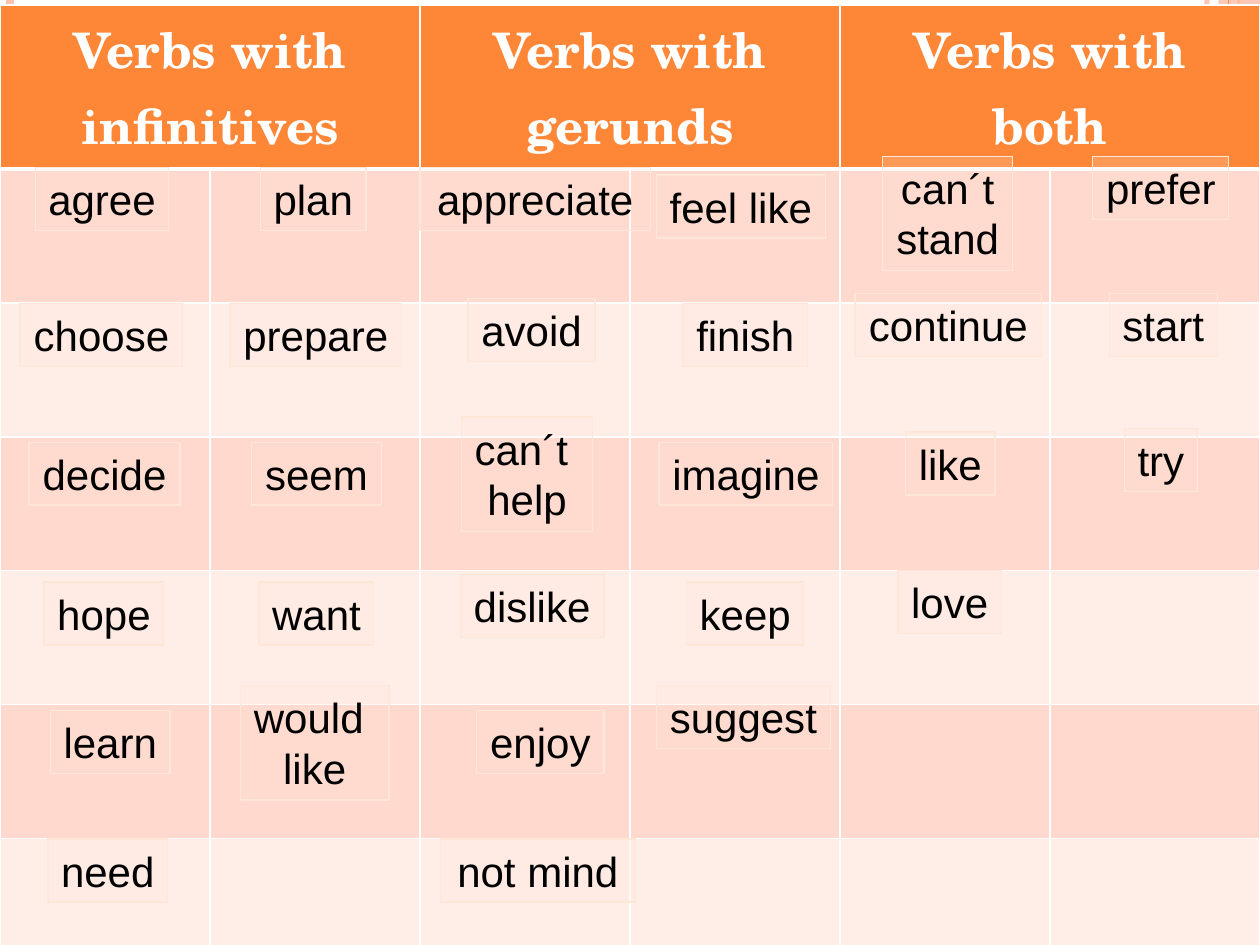
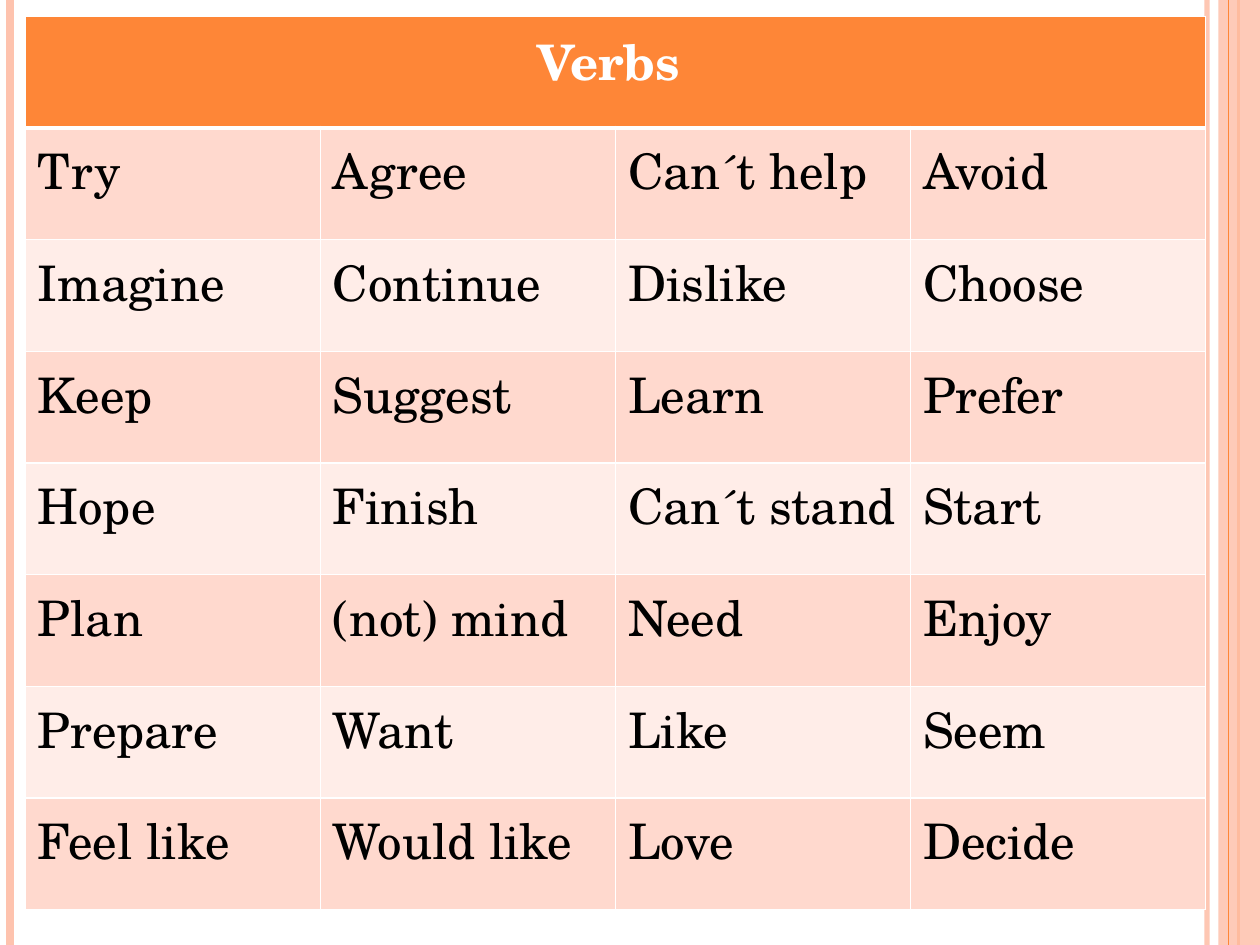
from collections import namedtuple
from lxml.etree import SubElement
from pptx import Presentation
from pptx.dml.color import RGBColor
from pptx.enum.shapes import MSO_CONNECTOR, MSO_SHAPE
from pptx.enum.text import MSO_ANCHOR, MSO_AUTO_SIZE, PP_ALIGN
from pptx.oxml.ns import qn
from pptx.util import Inches, Pt

Box = namedtuple("Box", "left top width height")

WHITE = RGBColor(0xFF, 0xFF, 0xFF)
BLACK = RGBColor(0x00, 0x00, 0x00)
ORANGE = RGBColor(0xFE, 0x86, 0x37)
SALMON = RGBColor(0xFE, 0xC3, 0xAE)
CREAM = RGBColor(0xFF, 0xE7, 0xD7)
BAND_FILLS = (RGBColor(0xFF, 0xD9, 0xCE), RGBColor(0xFF, 0xED, 0xE8))

TABLE_FONT = {"name": "TeX Gyre Schola", "size": Pt(28)}
HEADER_FORMAT = {**TABLE_FONT, "bold": True, "color": WHITE}
BODY_FORMAT = {**TABLE_FONT, "bold": False, "color": BLACK}
CARD_FORMAT = {"name": "Arial", "size": Pt(24), "color": BLACK}

SLIDE_BOX = Box(0, 0, 10, 7.5)
SORTED_TABLE_BOX = Box(0, 0.04, 10, 7.46)
VERB_TABLE_BOX = Box(0.2, 0.13, 9.37, 7.09)
HEADER_HEIGHT = 1.08

RULES = (
    (9.58, SALMON, 3, 93),
    (0.08, SALMON, 4.5, 100),
    (9.83, ORANGE, 1.5, 100),
)
INNER_RULE = (9.75, ORANGE, 0.75, 100)

SORTED_HEADINGS = ("Verbs with infinitives", "Verbs with gerunds", "Verbs with both")
SORTED_CARDS = (
    (("agree", 0.28, 1.33, 1.06), ("choose", 0.16, 2.41, 1.29),
     ("decide", 0.23, 3.51, 1.2), ("hope", 0.35, 4.62, 0.95),
     ("learn", 0.4, 5.64, 0.95), ("need", 0.38, 6.66, 0.95)),
    (("plan", 0.4, 1.33, 0.84), ("prepare", 0.16, 2.41, 1.36),
     ("seem", 0.33, 3.51, 1.03), ("want", 0.39, 4.62, 0.91),
     ("would \nlike", 0.24, 5.44, 1.18)),
    (("appreciate", 0, 1.33, 1.83), ("avoid", 0.38, 2.37, 1.01),
     ("can´t \nhelp", 0.33, 3.31, 1.04), ("dislike", 0.32, 4.56, 1.14),
     ("enjoy", 0.45, 5.64, 1.01), ("not mind", 0.16, 6.66, 1.55)),
    (("feel like", 0.21, 1.39, 1.34), ("finish", 0.42, 2.41, 0.99),
     ("imagine", 0.23, 3.51, 1.38), ("keep", 0.45, 4.62, 0.93),
     ("suggest", 0.21, 5.44, 1.38)),
    (("can´t\nstand", 0.34, 1.24, 1.03), ("continue", 0.12, 2.33, 1.48),
     ("like", 0.52, 3.43, 0.71), ("love", 0.46, 4.53, 0.82)),
    (("prefer", 0.34, 1.24, 1.08), ("start", 0.47, 2.33, 0.86),
     ("try", 0.59, 3.4, 0.58)),
)
VERB_ROWS = (
    ("Try", "Agree", "Can´t help", "Avoid"),
    ("Imagine", "Continue", "Dislike", "Choose"),
    ("Keep", "Suggest", "Learn", "Prefer"),
    ("Hope", "Finish", "Can´t stand", "Start"),
    ("Plan", "(not) mind", "Need", "Enjoy"),
    ("Prepare", "Want", "Like", "Seem"),
    ("Feel like", "Would like", "Love", "Decide"),
)


def format_font(font, values):
    for name, value in values.items():
        if name == "color":
            font.color.rgb = value
        else:
            setattr(font, name, value)


def write_text(text_frame, text, values, alignment):
    text_frame.text = text
    for paragraph in text_frame.paragraphs:
        paragraph.alignment = alignment
        format_font(paragraph.font, values)
        for run in paragraph.runs:
            format_font(run.font, values)


def set_opacity(element, percent):
    color = element.find(".//" + qn("a:srgbClr"))
    SubElement(color, qn("a:alpha"), val=str(percent * 1000))


def add_rectangle(slide, box, color, opacity):
    shape = slide.shapes.add_shape(MSO_SHAPE.RECTANGLE, *map(Inches, box))
    shape.shadow.inherit = False
    shape.fill.solid()
    shape.fill.fore_color.rgb = color
    set_opacity(shape._element.spPr, opacity)
    shape.line.fill.background()
    return shape


def add_rule(slide, box, offset, color, width, opacity):
    x = Inches(box.left + offset)
    rule = slide.shapes.add_connector(
        MSO_CONNECTOR.STRAIGHT, x, Inches(box.top), x, Inches(box.top + box.height))
    rule.line.color.rgb = color
    rule.line.width = Pt(width)
    if opacity < 100:
        set_opacity(rule._element.spPr, opacity)
    SubElement(rule._element.spPr, qn("a:effectLst"))


def add_side_bands(slide, box):
    for rule in RULES:
        add_rule(slide, box, *rule)
    band_box = Box(box.left + 9.67, box.top, 0.33, box.height)
    add_rectangle(slide, band_box, SALMON, 87)
    add_rule(slide, box, *INNER_RULE)


def set_borders(cell, widths):
    properties = cell._tc.get_or_add_tcPr()
    for position, (side, width) in enumerate(widths.items()):
        border = SubElement(properties, qn("a:ln" + side), w=str(Pt(width)))
        fill = SubElement(border, qn("a:solidFill"))
        SubElement(fill, qn("a:srgbClr"), val=str(WHITE))
        properties.insert(position, border)


def add_banded_table(slide, box, headings, rows, header_height):
    column_count = len(rows[0])
    table = slide.shapes.add_table(
        len(rows) + 1, column_count, *map(Inches, box)).table
    table.first_row = table.horz_banding = False
    for column in table.columns:
        column.width = Inches(box.width / column_count)
    body_height = (box.height - header_height) / len(rows)
    for index, row in enumerate(table.rows):
        row.height = Inches(body_height if index else header_height)
        for cell in row.cells:
            cell.fill.solid()
            cell.fill.fore_color.rgb = BAND_FILLS[(index - 1) % 2] if index else ORANGE
            set_borders(cell, {"L": 1, "R": 1, "T": 3 if index == 1 else 1,
                               "B": 1 if index else 3})
    span = column_count // len(headings)
    for index, heading in enumerate(headings):
        cell = table.cell(0, index * span)
        cell.merge(table.cell(0, (index + 1) * span - 1))
        write_text(cell.text_frame, heading, HEADER_FORMAT, PP_ALIGN.CENTER)
    for row_index, row in enumerate(rows, 1):
        for column_index, text in enumerate(row):
            if text:
                cell = table.cell(row_index, column_index)
                write_text(cell.text_frame, text, BODY_FORMAT, PP_ALIGN.LEFT)


def add_card(slide, box, text):
    card = add_rectangle(slide, box, CREAM, 20)
    card.line.color.rgb = CREAM
    card.line.width = Pt(0.75)
    frame_format = {"word_wrap": False, "auto_size": MSO_AUTO_SIZE.SHAPE_TO_FIT_TEXT,
                    "vertical_anchor": MSO_ANCHOR.TOP}
    for name, value in frame_format.items():
        setattr(card.text_frame, name, value)
    write_text(card.text_frame, text, CARD_FORMAT, PP_ALIGN.CENTER)


def add_cards(slide, box, columns):
    column_width = box.width / len(columns)
    for index, cards in enumerate(columns):
        for text, left, top, width in cards:
            height = 0.91 if "\n" in text else 0.5
            card_box = Box(box.left + index * column_width + left,
                           box.top + top, width, height)
            add_card(slide, card_box, text)


def add_banded_slide(presentation):
    slide = presentation.slides.add_slide(presentation.slide_layouts[6])
    slide.background.fill.solid()
    slide.background.fill.fore_color.rgb = WHITE
    add_side_bands(slide, SLIDE_BOX)
    return slide


def add_sorted_slide(presentation):
    slide = add_banded_slide(presentation)
    empty_rows = [[""] * len(SORTED_CARDS)] * 6
    add_banded_table(slide, SORTED_TABLE_BOX, SORTED_HEADINGS, empty_rows, HEADER_HEIGHT)
    add_cards(slide, SLIDE_BOX, SORTED_CARDS)


def add_verb_slide(presentation):
    slide = add_banded_slide(presentation)
    row_height = VERB_TABLE_BOX.height / (len(VERB_ROWS) + 1)
    add_banded_table(slide, VERB_TABLE_BOX, ("Verbs ",), VERB_ROWS, row_height)


def main():
    presentation = Presentation()
    presentation.slide_width = Inches(SLIDE_BOX.width)
    presentation.slide_height = Inches(SLIDE_BOX.height)
    add_sorted_slide(presentation)
    add_verb_slide(presentation)
    presentation.save("out.pptx")


if __name__ == "__main__":
    main()
